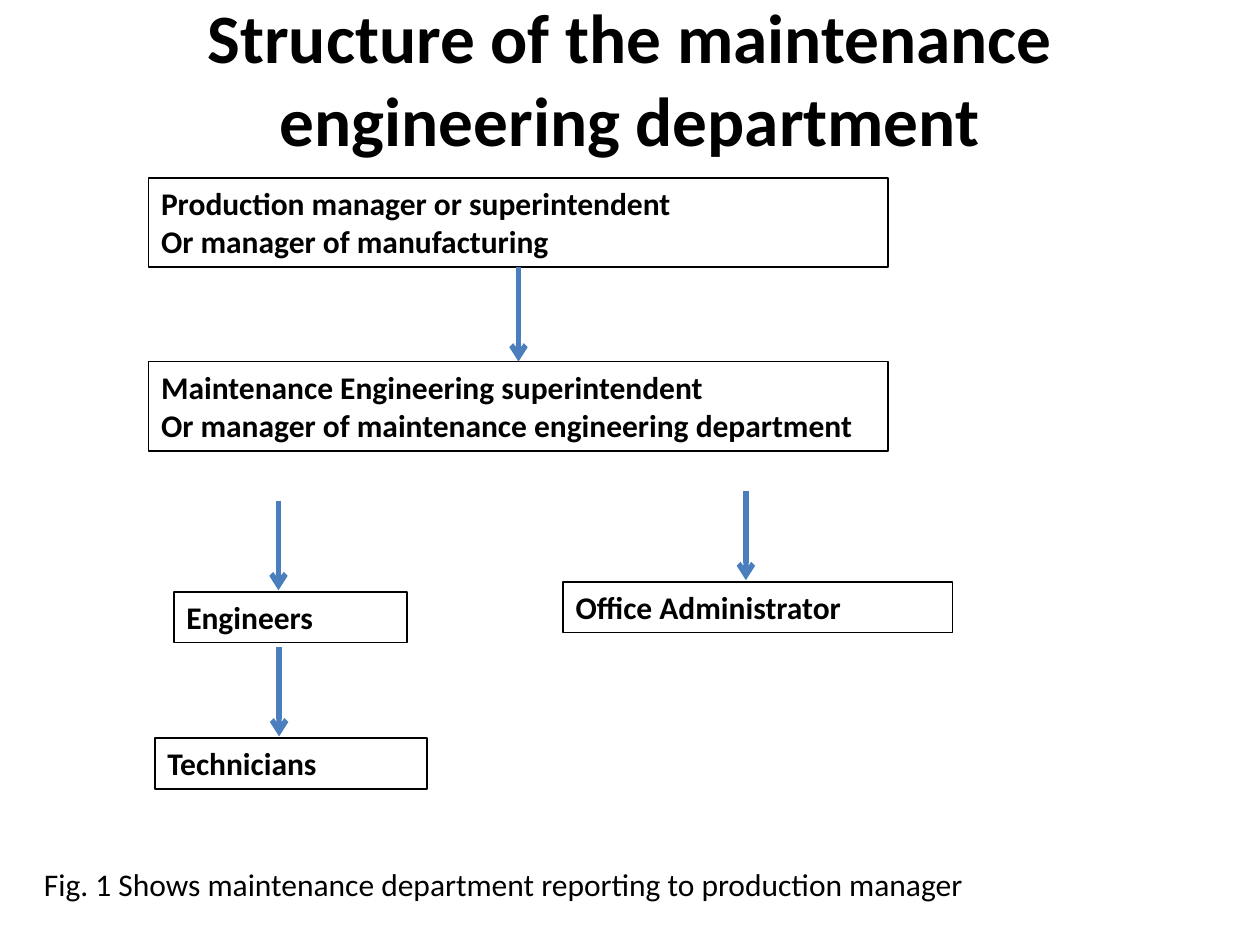
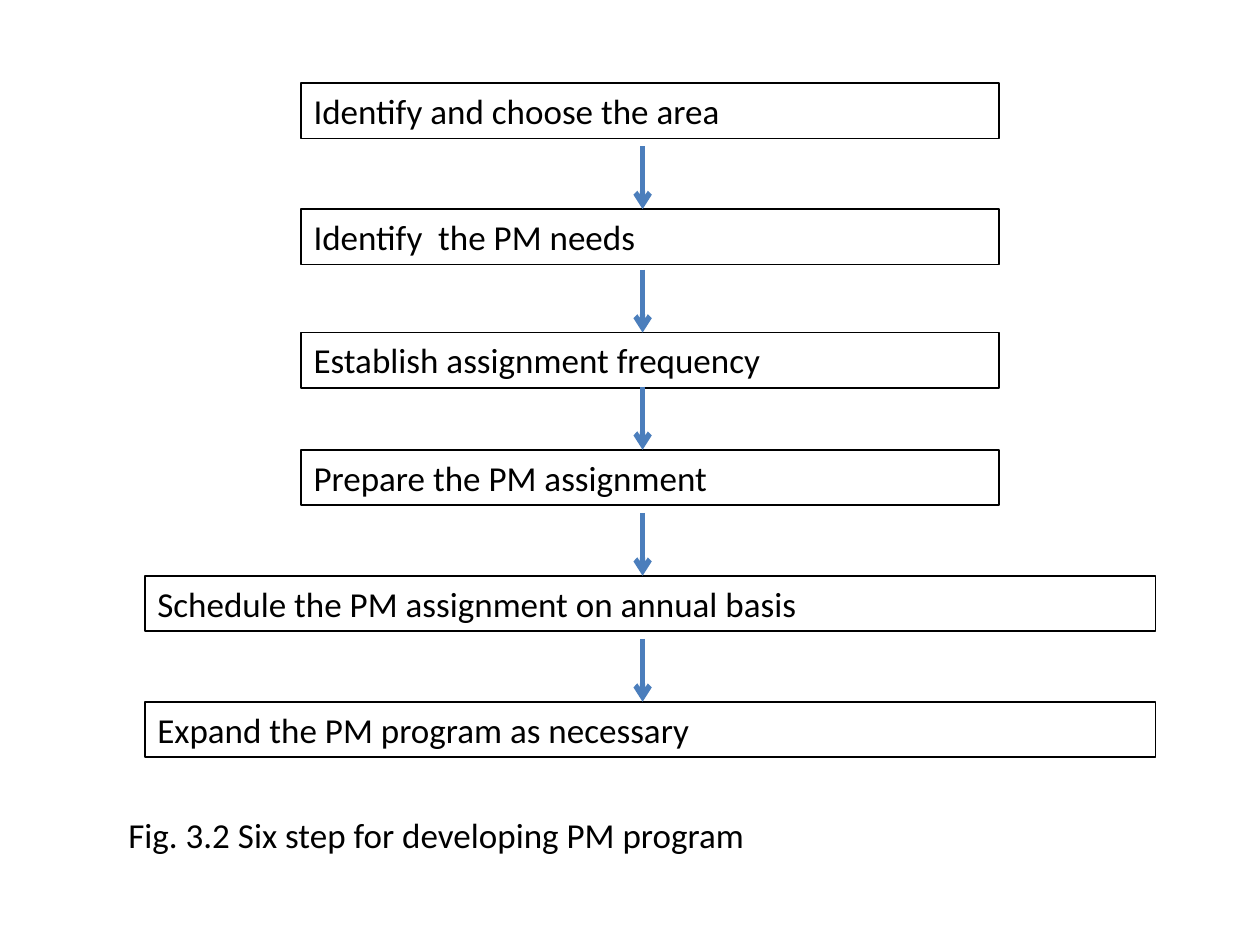
from dataclasses import dataclass

from pptx import Presentation
from pptx.dml.color import RGBColor
from pptx.enum.shapes import MSO_CONNECTOR, MSO_SHAPE
from pptx.enum.text import MSO_ANCHOR as Anchor, PP_ALIGN as Align
from pptx.oxml.ns import qn
from pptx.util import Inches, Pt
from lxml.etree import SubElement


@dataclass(frozen=True)
class Theme:
    font: str = "Calibri"
    ink: RGBColor = RGBColor(0x00, 0x00, 0x00)
    arrow: RGBColor = RGBColor(0x4B, 0x7E, 0xBC)
    title_size: float = 39.6
    chart_size: float = 18
    steps_size: float = 20
    border_width: float = 1
    arrow_width: float = 3


THEME = Theme()
COLUMNS, ROWS = 100, 75
UNIT = Inches(10) / COLUMNS


def grid(units):
    return round(units * UNIT)


@dataclass(frozen=True)
class Box:
    """A rectangle in grid columns and rows."""
    left: float
    top: float
    width: float
    height: float

    @property
    def center(self):
        return self.left + self.width / 2

    def inside(self, column, row, width, height):
        return Box(self.left + column, self.top + row, width, height)

    def emu(self):
        return [grid(n) for n in (self.left, self.top, self.width, self.height)]


PAGE = Box(0, 0, COLUMNS, ROWS)


def write(shape, lines, size, bold=False, align=Align.LEFT, anchor=Anchor.TOP):
    frame = shape.text_frame
    frame.word_wrap = True
    frame.vertical_anchor = anchor
    for index, line in enumerate(lines):
        paragraph = frame.add_paragraph() if index else frame.paragraphs[0]
        paragraph.text = line
        paragraph.alignment = align
        font = paragraph.font
        font.name, font.size, font.bold = THEME.font, Pt(size), bold
        font.color.rgb = THEME.ink


def add_text(slide, box, text, size, **style):
    write(slide.shapes.add_textbox(*box.emu()), [text], size, **style)


def add_node(slide, box, lines, size, bold=False):
    shape = slide.shapes.add_shape(MSO_SHAPE.RECTANGLE, *box.emu())
    shape.shadow.inherit = False
    shape.fill.background()
    shape.line.color.rgb = THEME.ink
    shape.line.width = Pt(THEME.border_width)
    write(shape, lines, size, bold)


def add_arrow_into(slide, box, length, shift=0, gap=0):
    """Point down at the top of box, shifted from its centre and stopping at gap."""
    x, end = grid(box.center + shift), box.top - gap
    arrow = slide.shapes.add_connector(
        MSO_CONNECTOR.STRAIGHT, x, grid(end - length), x, grid(end))
    arrow.line.color.rgb = THEME.arrow
    arrow.line.width = Pt(THEME.arrow_width)
    SubElement(arrow.line._get_or_add_ln(), qn("a:tailEnd"), type="arrow")
    SubElement(arrow._element.spPr, qn("a:effectLst"))


def add_department_chart(slide, area):
    manager_height, staff_height = 7.1, 4
    production = area.inside(0, 0, 58.7, manager_height)
    maintenance = area.inside(0, 14.6, 58.7, manager_height)
    engineers = area.inside(2, 32.9, 18.5, staff_height)
    technicians = area.inside(0.5, 44.5, 21.6, staff_height)
    office = area.inside(32.9, 32.1, 30.9, staff_height)
    nodes = [
        (production, ["Production manager or superintendent",
                      "Or manager of manufacturing"]),
        (maintenance, ["Maintenance Engineering superintendent",
                       "Or manager of maintenance engineering department"]),
        (engineers, ["Engineers"]),
        (technicians, ["Technicians"]),
        (office, ["Office Administrator"]),
    ]
    for box, lines in nodes:
        add_node(slide, box, lines, THEME.chart_size, bold=True)
    add_arrow_into(slide, maintenance, 7.5)
    for box in (office, engineers, technicians):
        add_arrow_into(slide, box, 7.1, shift=-0.95, gap=0.15)


def add_steps(slide, area):
    narrow, wide, height = 55.4, area.width, 4.4
    steps = [
        (0, narrow, "Identify and choose the area"),
        (10, narrow, "Identify  the PM needs"),
        (19.8, narrow, "Establish assignment frequency"),
        (29.1, narrow, "Prepare the PM assignment"),
        (39.1, wide, "Schedule the PM assignment on annual basis"),
        (49.1, wide, "Expand the PM program as necessary"),
    ]
    boxes = []
    for row, width, text in steps:
        box = area.inside((area.width - width) / 2, row, width, height)
        add_node(slide, box, [text], THEME.steps_size)
        boxes.append(box)
    for box in boxes[1:]:
        add_arrow_into(slide, box, 5, shift=-0.6)


def build_department_slide(slide):
    add_text(slide, PAGE.inside(5, 3, 90, 6.2),
             "Structure of the maintenance engineering department",
             THEME.title_size, bold=True, align=Align.CENTER, anchor=Anchor.MIDDLE)
    add_department_chart(slide, PAGE.inside(11.8, 14.1, 63.8, 48.5))
    add_text(slide, PAGE.inside(2.5, 68.2, 95.8, 4.3),
             "Fig. 1 Shows maintenance department reporting to production manager",
             THEME.chart_size)


def build_steps_slide(slide):
    add_steps(slide, PAGE.inside(11.5, 6.6, 80.2, 53.5))
    add_text(slide, PAGE.inside(9.2, 64.1, 74.2, 4.4),
             "Fig. 3.2 Six step for developing PM program", THEME.steps_size)


def main():
    presentation = Presentation()
    presentation.slide_width = grid(COLUMNS)
    presentation.slide_height = grid(ROWS)
    blank = presentation.slide_layouts[6]
    for build in (build_department_slide, build_steps_slide):
        build(presentation.slides.add_slide(blank))
    presentation.save("out.pptx")


if __name__ == "__main__":
    main()
